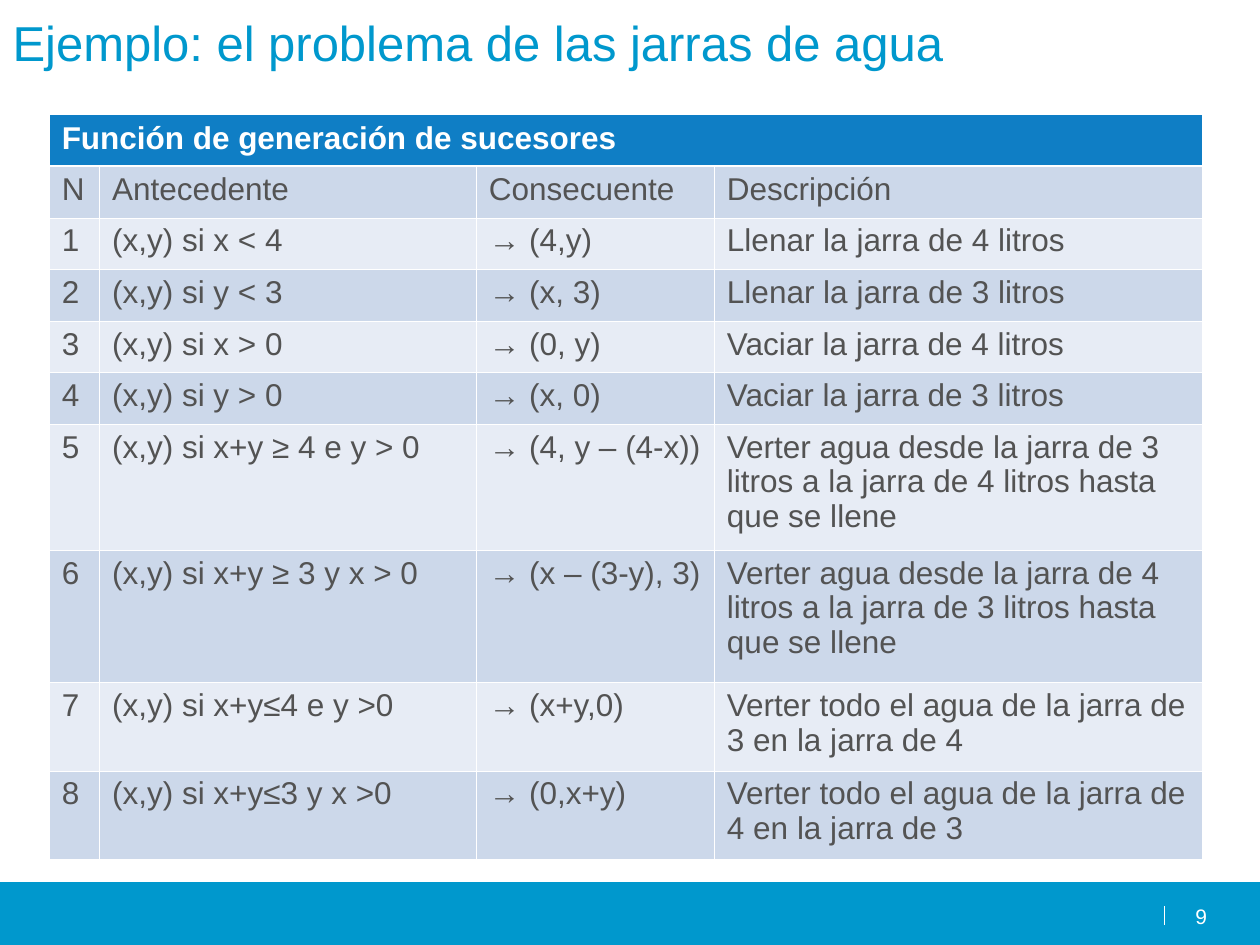
from lxml.etree import SubElement
from pptx import Presentation
from pptx.dml.color import RGBColor
from pptx.enum.shapes import MSO_CONNECTOR, MSO_SHAPE
from pptx.enum.text import MSO_ANCHOR, PP_ALIGN
from pptx.oxml import parse_xml
from pptx.oxml.ns import nsdecls, qn
from pptx.util import Inches, Pt

CYAN = RGBColor(0x00, 0x98, 0xCD)
BLUE = RGBColor(0x0F, 0x7E, 0xC5)
DARK = RGBColor(0xCC, 0xD8, 0xEA)
LIGHT = RGBColor(0xE7, 0xEC, 0xF5)
GRAY = RGBColor(0x53, 0x53, 0x53)
WHITE = RGBColor(0xFF, 0xFF, 0xFF)

FONT = "Arial"
THIN, THICK = 0.45, 1.47
COLS = [0.4, 2.99, 1.89, 3.87]
HEIGHTS = [0.41] * 6 + [1, 1.05, 0.7, 0.7]
HEADING = "Función de generación de sucesores"
ROWS = [
    ("N", "Antecedente", "Consecuente", "Descripción"),
    ("1", "(x,y) si x < 4", "→ (4,y)", "Llenar la jarra de 4 litros"),
    ("2", "(x,y) si y < 3", "→ (x, 3)", "Llenar la jarra de 3 litros"),
    ("3", "(x,y) si x > 0", "→ (0, y)", "Vaciar la jarra de 4 litros"),
    ("4", "(x,y) si y > 0", "→ (x, 0)", "Vaciar la jarra de 3 litros"),
    ("5", "(x,y) si x+y ≥ 4 e y > 0", "→ (4, y – (4-x))",
     "Verter agua desde la jarra de 3 litros a la jarra de 4 litros hasta que se llene"),
    ("6", "(x,y) si x+y ≥ 3 y x > 0", "→ (x – (3-y), 3)",
     "Verter agua desde la jarra de 4 litros a la jarra de 3 litros hasta que se llene"),
    ("7", "(x,y) si x+y≤4 e y >0", "→ (x+y,0)",
     "Verter todo el agua de la jarra de 3 en la jarra de 4"),
    ("8", "(x,y) si x+y≤3 y x >0", "→ (0,x+y)",
     "Verter todo el agua de la jarra de 4 en la jarra de 3"),
]


def write(frame, text, size, color, bold=False, align=PP_ALIGN.LEFT):
    para = frame.paragraphs[0]
    para.alignment = align
    run = para.add_run()
    run.text = text
    font = run.font
    font.name, font.size, font.bold = FONT, Pt(size), bold
    font.color.rgb = color
    return para


def add_title(slide, text):
    title = slide.shapes.title
    title.left, title.top = Inches(0), Inches(0)
    title.width, title.height = Inches(9), Inches(1.25)
    frame = title.text_frame
    frame.word_wrap = True
    frame.vertical_anchor = MSO_ANCHOR.TOP
    frame.margin_top = Inches(0.1)
    write(frame, text, 28, CYAN)


def add_footer(slide, number):
    shapes = slide.shapes
    band = shapes.add_shape(MSO_SHAPE.RECTANGLE, Inches(0), Inches(7),
                            Inches(10.01), Inches(0.51))
    band.shadow.inherit = False
    band.fill.solid()
    band.fill.fore_color.rgb = CYAN
    band.line.fill.background()

    mark = shapes.add_connector(MSO_CONNECTOR.STRAIGHT, Inches(9.24), Inches(7.34),
                                Inches(9.24), Inches(7.19))
    mark.line.color.rgb = WHITE
    mark.line.width = Pt(0.75)
    SubElement(mark.element.spPr, qn("a:effectLst"))

    box = shapes.add_textbox(Inches(9.28), Inches(7.17), Inches(0.3), Inches(0.19))
    frame = box.text_frame
    frame.word_wrap = True
    frame.margin_left = frame.margin_right = 0
    frame.margin_top = frame.margin_bottom = 0
    write(frame, number, 12, WHITE, align=PP_ALIGN.RIGHT)


def set_borders(cell, top, bottom):
    """Draw white cell edges; the edges must come before the fill in the XML."""
    props = cell._tc.get_or_add_tcPr()
    edges = {"lnL": THIN, "lnR": THIN, "lnT": top, "lnB": bottom}
    for spot, (tag, width) in enumerate(edges.items()):
        props.insert(spot, parse_xml(
            f'<a:{tag} {nsdecls("a")} w="{int(Pt(width))}"><a:solidFill>'
            f'<a:srgbClr val="{WHITE}"/></a:solidFill></a:{tag}>'))


def fill_cell(cell, color, top=THIN, bottom=THIN):
    cell.fill.solid()
    cell.fill.fore_color.rgb = color
    set_borders(cell, top, bottom)


def add_rules(slide):
    """Add the table of successor rules."""
    frame = slide.shapes.add_table(len(HEIGHTS), len(COLS), Inches(0.39), Inches(0.91),
                                   Inches(sum(COLS)), Inches(sum(HEIGHTS)))
    table = frame.table
    for col, width in zip(table.columns, COLS):
        col.width = Inches(width)
    for row, height in zip(table.rows, HEIGHTS):
        row.height = Inches(height)

    for cell in table.rows[0].cells:
        fill_cell(cell, BLUE, bottom=THICK)
    head = table.cell(0, 0)
    head.merge(table.cell(0, len(COLS) - 1))
    write(head.text_frame, HEADING, 18, WHITE, bold=True)

    for r, texts in enumerate(ROWS, 1):
        for c, text in enumerate(texts):
            cell = table.cell(r, c)
            fill_cell(cell, DARK if r % 2 else LIGHT, top=THICK if r == 1 else THIN)
            para = write(cell.text_frame, text, 18, GRAY)
            para.line_spacing = 0.98


def main():
    deck = Presentation()
    deck.slide_width, deck.slide_height = Inches(10), Inches(7.5)
    slide = deck.slides.add_slide(deck.slide_layouts[5])
    add_footer(slide, "9")
    add_title(slide, "Ejemplo: el problema de las jarras de agua")
    add_rules(slide)
    deck.save("out.pptx")


if __name__ == "__main__":
    main()
